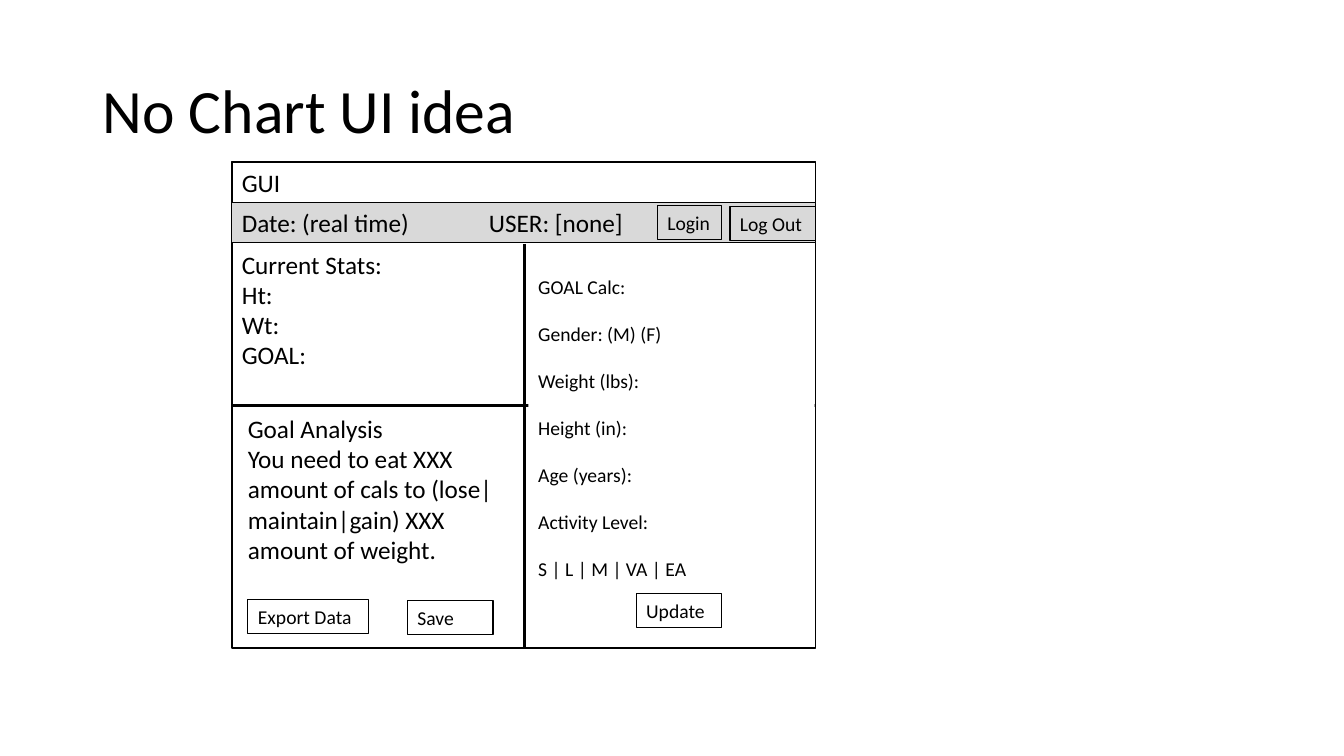
from dataclasses import dataclass
from typing import Optional

from lxml.etree import SubElement
from pptx import Presentation
from pptx.dml.color import RGBColor
from pptx.enum.shapes import MSO_CONNECTOR, MSO_SHAPE
from pptx.enum.text import MSO_ANCHOR, MSO_AUTO_SIZE, PP_ALIGN
from pptx.oxml.ns import qn
from pptx.util import Inches, Pt


@dataclass(frozen=True)
class Theme:
    font: str = "Calibri"
    ink: RGBColor = RGBColor(0, 0, 0)
    paper: RGBColor = RGBColor(255, 255, 255)
    bar: RGBColor = RGBColor(0xD9, 0xD9, 0xD9)
    title: float = 44
    body: float = 18
    small: float = 14
    frame: float = 1
    border: float = 0.75
    divider: float = 2.25


@dataclass(frozen=True)
class Panel:
    x: float
    y: float
    w: float
    h: float
    text: str = ""
    size: float = Theme.body
    fill: Optional[RGBColor] = None
    border: Optional[float] = None
    spacing: float = 1
    tab: Optional[float] = None


@dataclass(frozen=True)
class Divider:
    x1: float
    y1: float
    x2: float
    y2: float


THEME = Theme()
LEFT, TOP, WIDTH, HEIGHT = 2.3, 1.6, 5.79, 4.83
RIGHT, BOTTOM = LEFT + WIDTH, TOP + HEIGHT
ROW, MIDDLE, SPLIT = 0.4, 5.2, 4.02
CONTENT = 2.42


def button(text: str, x: float, y: float, w: float = 0.85) -> Panel:
    return Panel(x, y, w, 0.34, text, THEME.small, border=THEME.border)


def style_text(tf, size: float, spacing: float, tab: Optional[float] = None) -> None:
    for p in tf.paragraphs:
        if tab:
            tabs = SubElement(p._p.get_or_add_pPr(), qn("a:tabLst"))
            SubElement(tabs, qn("a:tab"), pos=str(Inches(tab)), algn="l")
        p.alignment = PP_ALIGN.LEFT
        p.line_spacing = spacing
        p.font.name = THEME.font
        p.font.size = Pt(size)
        p.font.color.rgb = THEME.ink


def draw_panel(s, panel: Panel) -> None:
    box = [Inches(v) for v in (panel.x, panel.y, panel.w, panel.h)]
    if panel.fill is None and panel.border is None:
        sp = s.shapes.add_textbox(*box)
    else:
        sp = s.shapes.add_shape(MSO_SHAPE.RECTANGLE, *box)
        sp.shadow.inherit = False
    if panel.fill is None:
        sp.fill.background()
    else:
        sp.fill.solid()
        sp.fill.fore_color.rgb = panel.fill
    if panel.border is None:
        sp.line.fill.background()
    else:
        sp.line.color.rgb = THEME.ink
        sp.line.width = Pt(panel.border)
    if panel.text:
        tf = sp.text_frame
        tf.word_wrap = True
        tf.vertical_anchor = MSO_ANCHOR.TOP
        tf.text = panel.text
        style_text(tf, panel.size, panel.spacing, panel.tab)


def draw_divider(s, d: Divider) -> None:
    line = s.shapes.add_connector(
        MSO_CONNECTOR.STRAIGHT, *(Inches(v) for v in (d.x1, d.y1, d.x2, d.y2))
    )
    line.line.color.rgb = THEME.ink
    line.line.width = Pt(THEME.divider)
    SubElement(line._element.spPr, qn("a:effectLst"))


def draw_title(s, text: str) -> None:
    sp = s.shapes.title
    sp.left, sp.top = Inches(0.92), Inches(0.4)
    sp.width, sp.height = Inches(11.5), Inches(1.45)
    tf = sp.text_frame
    tf.text = text
    tf.auto_size = MSO_AUTO_SIZE.NONE
    tf.vertical_anchor = MSO_ANCHOR.MIDDLE
    style_text(tf, THEME.title, 0.9)


GOAL_FORM = (
    "GOAL Calc:\nGender: (M) (F)\vWeight (lbs):\n"
    "Height (in):\vAge (years):\vActivity Level:\vS | L | M | VA | EA"
)
ANALYSIS = (
    "Goal Analysis\nYou need to eat XXX amount of cals to "
    "(lose|maintain|gain) XXX amount of weight."
)

WINDOW = [
    Panel(LEFT, TOP, WIDTH, HEIGHT, fill=THEME.paper, border=THEME.frame),
    Panel(LEFT, TOP + 0.01, WIDTH, ROW, "GUI", border=THEME.border),
    Panel(LEFT, TOP + 0.01 + ROW, WIDTH, ROW, "Date: (real time)\tUSER: [none]",
          fill=THEME.bar, border=THEME.border, tab=2.45),
    Panel(LEFT, CONTENT, MIDDLE - LEFT, 0.4, "Current Stats:"),
]
DIVIDERS = [
    Divider(MIDDLE, CONTENT, MIDDLE, BOTTOM),
    Divider(LEFT, SPLIT, RIGHT, SPLIT),
]
CONTENTS = [
    Panel(LEFT, 2.72, 2.72, 1.01, "Ht:\nWt:\nGOAL:"),
    Panel(5.24, 2.44, 2.84, 3.7, GOAL_FORM, THEME.small, THEME.paper, spacing=2),
    Panel(2.36, 4.05, 2.84, 1.62, ANALYSIS),
    button("Update", 6.31, 5.89),
    button("Save", 4.04, 5.96),
    button("Export Data", 2.46, 5.95, 1.2),
    button("Login", 6.52, 2.04, 0.64),
    button("Log Out", 7.24, 2.05),
]

prs = Presentation()
prs.slide_width, prs.slide_height = Inches(13.33), Inches(7.5)
s = prs.slides.add_slide(prs.slide_layouts[5])
draw_title(s, "No Chart UI idea")
for panel in WINDOW:
    draw_panel(s, panel)
for divider in DIVIDERS:
    draw_divider(s, divider)
for panel in CONTENTS:
    draw_panel(s, panel)
prs.save("out.pptx")
